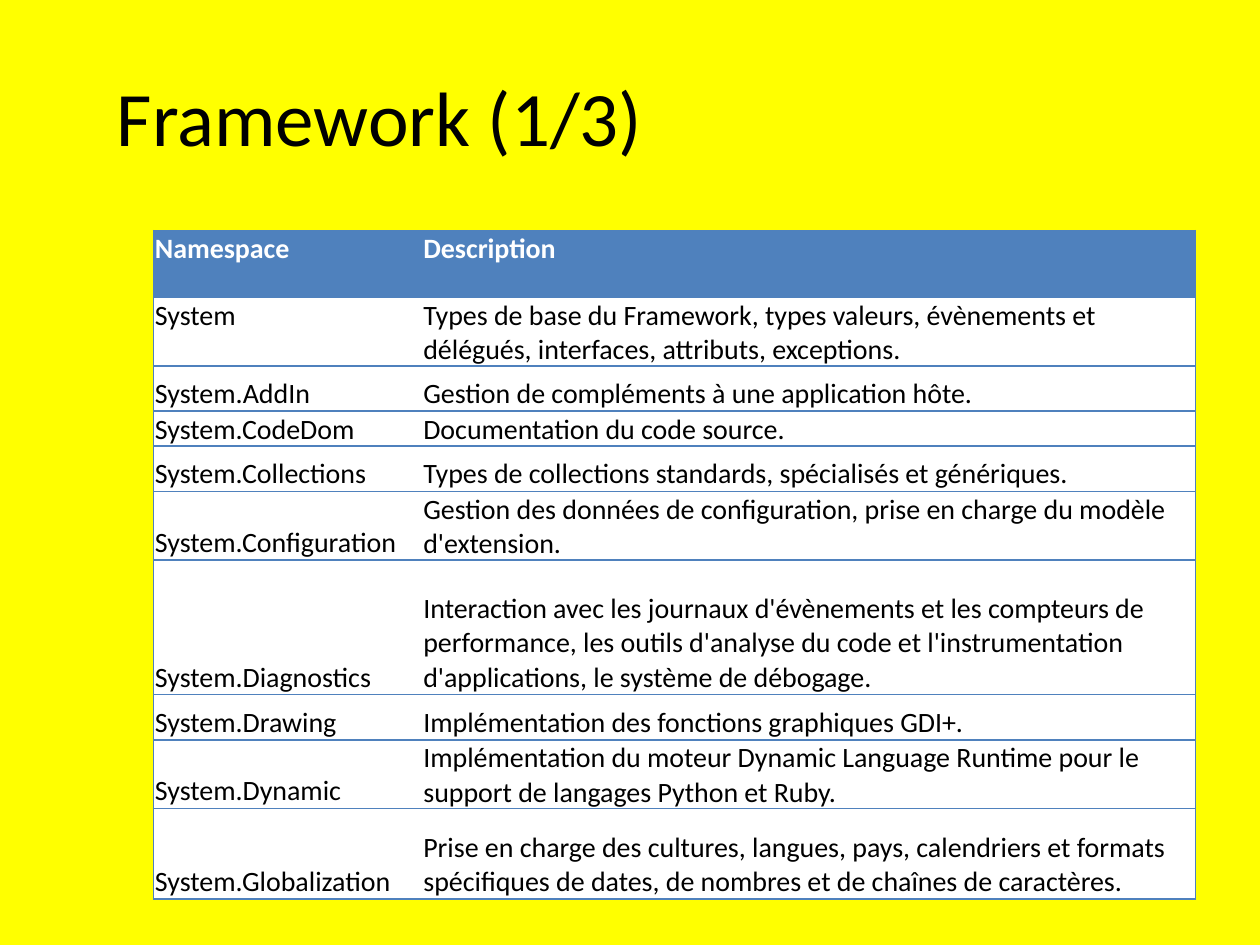
from lxml import etree
from pptx import Presentation, util as u
from pptx.dml.color import RGBColor
from pptx.enum import text
from pptx.oxml import ns

COLORS = {"background": "FFFF00", "blue": "4F81BD", "white": "FFFFFF", "black": "000000"}
FONT = "Calibri"
TITLE = "Framework (1/3)"
COLUMN_WIDTHS = [2.13, 6.14]
ROWS = [
    (0.53, "Namespace", "Description"),
    (0.53, "System", "Types de base du Framework, types valeurs, évènements et délégués, "
     "interfaces, attributs, exceptions."),
    (0.36, "System.AddIn", "Gestion de compléments à une application hôte."),
    (0.21, "System.CodeDom", "Documentation du code source."),
    (0.36, "System.Collections", "Types de collections standards, spécialisés et génériques."),
    (0.36, "System.Configuration", "Gestion des données de configuration, prise en charge du "
     "modèle d'extension."),
    (1.07, "System.Diagnostics", "Interaction avec les journaux d'évènements et les compteurs de "
     "performance, les outils d'analyse du code et l'instrumentation d'applications, "
     "le système de débogage."),
    (0.36, "System.Drawing", "Implémentation des fonctions graphiques GDI+."),
    (0.54, "System.Dynamic", "Implémentation du moteur Dynamic Language Runtime pour le support "
     "de langages Python et Ruby."),
    (0.72, "System.Globalization", "Prise en charge des cultures, langues, pays, calendriers et "
     "formats spécifiques de dates, de nombres et de chaînes de caractères."),
]


def rgb(name):
    return RGBColor.from_string(COLORS[name])


def set_font(paragraph, size, color, bold=False):
    font = paragraph.font
    font.name, font.size, font.bold = FONT, u.Pt(size), bold
    font.color.rgb = rgb(color)


def set_borders(cell, visible_sides):
    properties = cell._tc.get_or_add_tcPr()
    for side in "LRTB":
        line = etree.SubElement(properties, ns.qn(f"a:ln{side}"), w=str(u.Pt(1)))
        if side in visible_sides:
            fill = etree.SubElement(line, ns.qn("a:solidFill"))
            etree.SubElement(fill, ns.qn("a:srgbClr"), val=COLORS["blue"])
        else:
            etree.SubElement(line, ns.qn("a:noFill"))


def add_title(slide):
    shape = slide.shapes.add_textbox(u.Inches(0.83), u.Inches(0.29), u.Inches(8.83), u.Inches(1.25))
    frame = shape.text_frame
    frame.word_wrap = True
    frame.vertical_anchor = text.MSO_ANCHOR.MIDDLE
    frame.text = TITLE
    set_font(frame.paragraphs[0], 44, "black")


def fill_cell(cell, content, row, column):
    header = row == 0
    cell.text = content
    cell.margin_left = cell.margin_right = cell.margin_top = u.Inches(0.01)
    cell.margin_bottom = 0
    cell.vertical_anchor = text.MSO_ANCHOR.TOP if row < 2 else text.MSO_ANCHOR.BOTTOM
    set_borders(cell, "LTB" if column == 0 else "RTB")
    cell.fill.solid()
    cell.fill.fore_color.rgb = rgb("blue" if header else "white")
    set_font(cell.text_frame.paragraphs[0], 16, "white" if header else "black", header)


def add_namespace_table(slide):
    height = sum(row[0] for row in ROWS)
    table = slide.shapes.add_table(
        len(ROWS), len(COLUMN_WIDTHS), u.Inches(1.22), u.Inches(1.83),
        u.Inches(sum(COLUMN_WIDTHS)), u.Inches(height)).table
    table.horz_banding = False
    for column, width in zip(table.columns, COLUMN_WIDTHS):
        column.width = u.Inches(width)
    for row, (row_height, *contents) in enumerate(ROWS):
        table.rows[row].height = u.Inches(row_height)
        for column, content in enumerate(contents):
            fill_cell(table.cell(row, column), content, row, column)


def main():
    presentation = Presentation()
    presentation.slide_width, presentation.slide_height = u.Inches(10), u.Inches(7.5)
    slide = presentation.slides.add_slide(presentation.slide_layouts[6])
    slide.background.fill.solid()
    slide.background.fill.fore_color.rgb = rgb("background")
    add_title(slide)
    add_namespace_table(slide)
    presentation.save("out.pptx")


if __name__ == "__main__":
    main()
